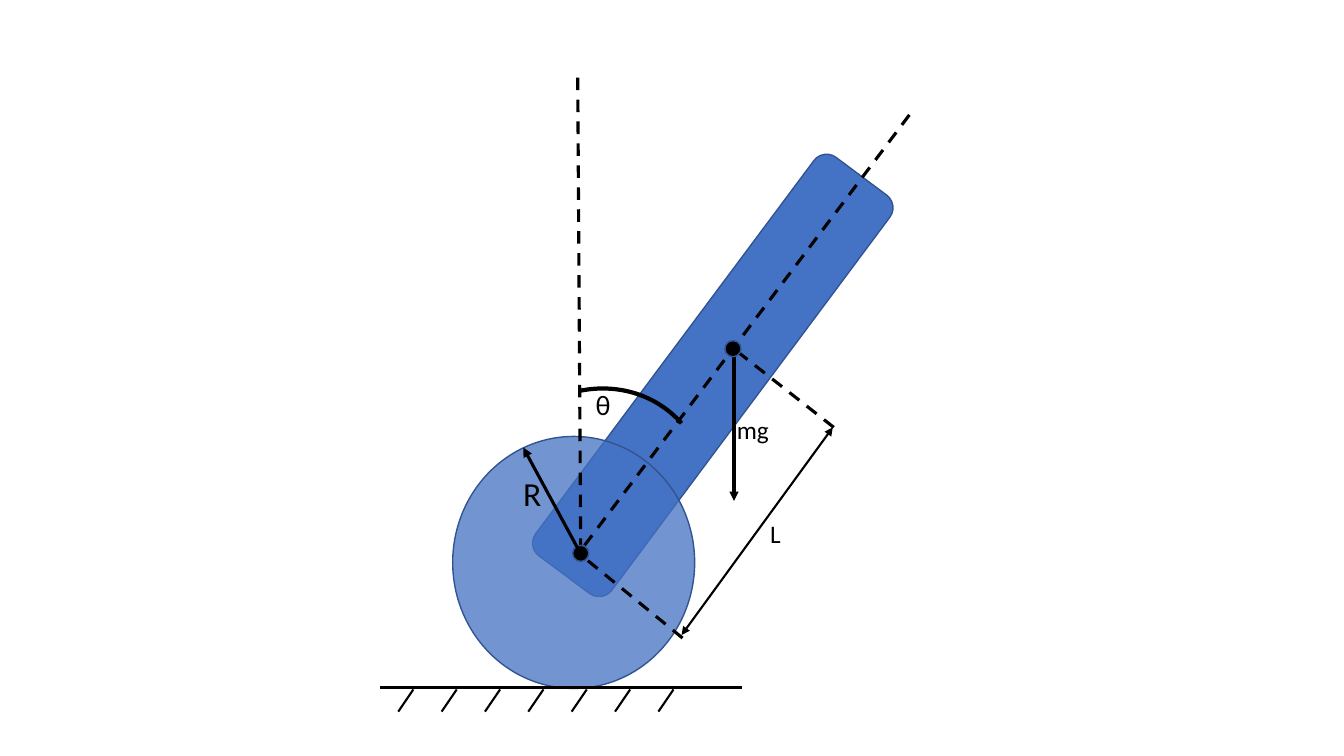
"""Draw a wheeled inverted pendulum with its forces and lengths."""
from dataclasses import dataclass

import pptx
import pptx.dml.color
import pptx.enum.dml
import pptx.enum.shapes
import pptx.enum.text
import pptx.oxml
import pptx.oxml.ns
import pptx.slide
import pptx.util

Inches = pptx.util.Inches
Kind = pptx.enum.shapes.MSO_SHAPE
COLORS = {"blue": "4472C4", "edge": "325491", "ink": "000000"}


@dataclass
class Form:
    kind: Kind
    box: tuple[float, float, float, float]
    fill: str | None = "blue"
    edge: str = "edge"
    width: float = 1
    turn: float = 0
    alpha: int = 100
    adjust: tuple[float, ...] = ()


@dataclass
class Line:
    start: tuple[float, float]
    end: tuple[float, float]
    width: float = 2.25
    dash: bool = False
    heads: tuple[str, ...] = ()


@dataclass
class Label:
    text: str
    box: tuple[float, float, float, float]
    size: int = 18


def color(name: str) -> pptx.dml.color.RGBColor:
    return pptx.dml.color.RGBColor.from_string(COLORS[name])


def make(tag: str, **attrs: str):
    node = pptx.oxml.parse_xml(f"<a:{tag} {pptx.oxml.ns.nsdecls('a')}/>")
    for key, value in attrs.items():
        node.set(key, value)
    return node


def draw_form(slide: pptx.slide.Slide, form: Form) -> None:
    shape = slide.shapes.add_shape(form.kind, *map(Inches, form.box))
    shape.shadow.inherit = False
    shape.rotation = form.turn
    for index, value in enumerate(form.adjust):
        shape.adjustments[index] = value
    if form.fill:
        shape.fill.solid()
        shape.fill.fore_color.rgb = color(form.fill)
    else:
        shape.fill.background()
    if form.alpha < 100:
        tint = shape.fill._xPr.find(".//" + pptx.oxml.ns.qn("a:srgbClr"))
        tint.append(make("alpha", val=str(form.alpha * 1000)))
    shape.line.color.rgb = color(form.edge)
    shape.line.width = pptx.util.Pt(form.width)


def draw_line(slide: pptx.slide.Slide, line: Line) -> None:
    link = slide.shapes.add_connector(
        pptx.enum.shapes.MSO_CONNECTOR.STRAIGHT,
        *map(Inches, line.start + line.end))
    link.line.color.rgb = color("ink")
    link.line.width = pptx.util.Pt(line.width)
    if line.dash:
        link.line.dash_style = pptx.enum.dml.MSO_LINE.DASH
    for head in line.heads:
        link.line._get_or_add_ln().append(make(head, type="triangle"))
    link._element.spPr.append(make("effectLst"))


def draw_label(slide: pptx.slide.Slide, label: Label) -> None:
    frame = slide.shapes.add_textbox(*map(Inches, label.box)).text_frame
    frame.word_wrap = False
    frame.auto_size = pptx.enum.text.MSO_AUTO_SIZE.SHAPE_TO_FIT_TEXT
    frame.text = label.text
    font = frame.paragraphs[0].runs[0].font
    font.name = "Calibri"
    font.size = pptx.util.Pt(label.size)
    font.color.rgb = color("ink")


ROD = Form(Kind.ROUNDED_RECTANGLE, (6.6, 1.26, 0.94, 4.93), turn=36.7)
WHEEL = Form(Kind.OVAL, (4.49, 4.33, 2.4, 2.5), alpha=75)
MASS = Form(Kind.OVAL, (7.19, 3.38, 0.16, 0.16), fill="ink")
HUB = Form(Kind.OVAL, (5.68, 5.41, 0.16, 0.16), fill="ink")
ANGLE = Form(Kind.ARC, (4.83, 3.87, 2.18, 2.04), fill=None, edge="ink",
             width=3, turn=332, adjust=(172.98, 209.13))
HATCH = [Line((4.1 + 0.43 * i, 6.84), (3.95 + 0.43 * i, 7.06), 1.5)
         for i in range(7)]
PARTS = [
    ROD,
    Line((8.27, 4.24), (7.24, 3.43), dash=True),
    WHEEL,
    Line((9.02, 1.14), (5.73, 5.5), dash=True),
    Line((7.28, 3.38), (7.28, 4.97), heads=("tailEnd",)),
    MASS,
    Line((5.73, 0.77), (5.76, 5.5), dash=True),
    ANGLE,
    Line((6.77, 6.33), (5.73, 5.48), dash=True),
    HUB,
    Line((8.26, 4.24), (6.76, 6.3), 1.5, heads=("headEnd", "tailEnd")),
    Line((3.77, 6.82), (7.36, 6.82)),
    *HATCH,
    Label("θ", (5.81, 3.8, 0.35, 0.44), 20),
    Label("mg", (7.21, 4.06, 0.52, 0.4)),
    Label("L", (7.54, 5.09, 0.31, 0.4)),
    Line((5.79, 5.55), (5.19, 4.44), heads=("tailEnd",)),
    Label("R", (5.09, 4.64, 0.38, 0.5), 24),
]
DRAW = {Form: draw_form, Line: draw_line, Label: draw_label}


def main() -> None:
    deck = pptx.Presentation()
    deck.slide_width = Inches(13.33)
    deck.slide_height = Inches(7.5)
    slide = deck.slides.add_slide(deck.slide_layouts[6])
    for part in PARTS:
        DRAW[type(part)](slide, part)
    deck.save("out.pptx")


if __name__ == "__main__":
    main()
